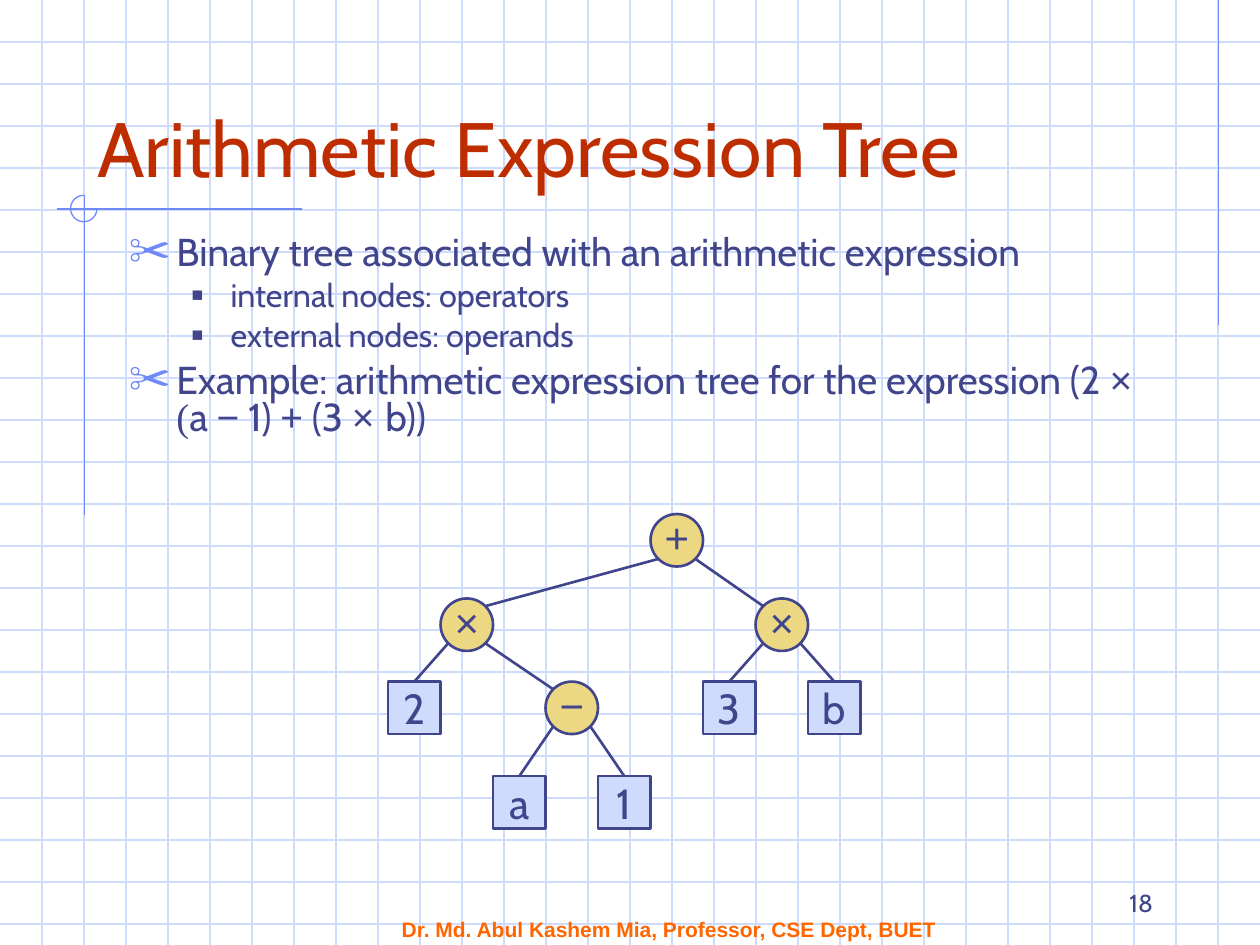
from lxml import etree
from pptx import Presentation
from pptx.dml.color import RGBColor
from pptx.enum import shapes as kinds, text as txt
from pptx.oxml.ns import qn
from pptx.util import Inches, Pt

INK = RGBColor(0x40, 0x45, 0x8C)
RED = RGBColor(0xBE, 0x2D, 0x00)
ORANGE = RGBColor(0xFF, 0x66, 0x00)
BLUE = RGBColor(0x6F, 0x89, 0xF7)
PALE = RGBColor(0xCF, 0xDB, 0xFD)
GOLD = RGBColor(0xEC, 0xD8, 0x82)
FONT = "Cabin"
MATH = "Arial"

# An operator is (sign, left, right); an operand is a plain string.
TREE = ("+", ("×", "2", ("−", "a", "1")), ("×", "3", "b"))
FORMULA = [
    ("Example: arithmetic expression tree for the expression (2 ", FONT),
    ("× ", MATH), ("(", "Times New Roman"), ("a ", FONT), ("−", MATH),
    (" 1) ", FONT), ("+", MATH), (" (3 ", FONT), ("× ", MATH), ("b))", FONT)]
# Each item: level, runs
ITEMS = [
    (0, [("Binary tree associated with an arithmetic expression", FONT)]),
    (1, [("internal nodes: operators", FONT)]),
    (1, [("external nodes: operands", FONT)]),
    (0, FORMULA)]
# Per level: size, space before, left margin, hang, bullet, colour, percent
LEVELS = [(22.2, 6, 0.38, 0.38, "✂", BLUE, 110),
          (18.5, 5, 0.81, 0.31, "■", INK, 60)]


def style(run, size, color, font=FONT, bold=False):
    run.font.size, run.font.name, run.font.bold = Pt(size), font, bold
    run.font.color.rgb = color


def place(shape, box):
    shape.left, shape.top, shape.width, shape.height = map(Inches, box)


def add_line(group, start, end, color, width=0.75):
    line = group.shapes.add_connector(
        kinds.MSO_CONNECTOR.STRAIGHT, *map(Inches, (*start, *end)))
    line.line.color.rgb, line.line.width = color, Pt(width)
    etree.SubElement(line._element.spPr, qn("a:effectLst"))


def add_grid(slide, wide, high, step=1 / 3):
    group = slide.shapes.add_group_shape()
    for i in range(1, int(high / step) + 1):
        add_line(group, (0, i * step), (wide, i * step), PALE)
    for i in range(1, round(wide / step)):
        add_line(group, (i * step, 0), (i * step, high), PALE)


def add_trim(slide):
    """Blue rules and the open ring around their crossing."""
    group = slide.shapes.add_group_shape()
    add_line(group, (9.67, 0), (9.67, 2.58), BLUE)
    add_line(group, (0.45, 1.66), (2.4, 1.66), BLUE)
    add_line(group, (0.67, 1.55), (0.67, 4.09), BLUE)
    ring = group.shapes.add_shape(
        kinds.MSO_SHAPE.ARC, *map(Inches, (0.56, 1.55, 0.21, 0.21)))
    ring.adjustments[0], ring.adjustments[1] = 0, 162  # right round to top
    ring.fill.background()
    ring.line.color.rgb, ring.line.width = BLUE, Pt(0.75)
    ring.shadow.inherit = False


def add_note(slide, box, words, anchor, align, **look):
    note = slide.shapes.add_textbox(*map(Inches, box))
    frame = note.text_frame
    frame.word_wrap, frame.vertical_anchor = True, anchor
    para = frame.paragraphs[0]
    para.text, para.alignment = words, align
    style(para.runs[0], **look)


def set_title(slide, box, words):
    title = slide.shapes.title
    place(title, box)
    frame = title.text_frame
    frame.text = words
    frame.vertical_anchor = txt.MSO_ANCHOR.BOTTOM
    frame.auto_size = txt.MSO_AUTO_SIZE.NONE
    frame.paragraphs[0].alignment = txt.PP_ALIGN.LEFT
    style(frame.paragraphs[0].runs[0], 44, RED)
    slide.shapes._spTree.append(title._element)  # in front of the grid


def set_bullet(para, left, hang, mark, color, size):
    props = para._p.get_or_add_pPr()
    props.set("marL", str(Inches(left)))
    props.set("indent", str(-Inches(hang)))
    tint = etree.SubElement(props, qn("a:buClr"))
    etree.SubElement(tint, qn("a:srgbClr"), val=str(color))
    etree.SubElement(props, qn("a:buSzPct"), val=str(size * 1000))
    etree.SubElement(props, qn("a:buFont"), typeface="Arial")
    etree.SubElement(props, qn("a:buChar"), char=mark)


def set_list(slide, box, items):
    body = slide.placeholders[1]
    place(body, box)
    frame = body.text_frame
    frame.auto_size = txt.MSO_AUTO_SIZE.NONE
    for i, (level, runs) in enumerate(items):
        para = frame.add_paragraph() if i else frame.paragraphs[0]
        size, gap, *bullet = LEVELS[level]
        para.level, para.line_spacing, para.space_before = level, 0.8, Pt(gap)
        set_bullet(para, *bullet)
        for words, font in runs:
            run = para.add_run()
            run.text = words
            style(run, size, INK, font)
    slide.shapes._spTree.append(body._element)


def add_node(group, center, side, sign, inner):
    x, y = center
    kind = kinds.MSO_SHAPE.OVAL if inner else kinds.MSO_SHAPE.RECTANGLE
    node = group.shapes.add_shape(
        kind, *map(Inches, (x - side / 2, y - side / 2, side, side)))
    node.shadow.inherit = False
    node.fill.solid()
    node.fill.fore_color.rgb = GOLD if inner else PALE
    node.line.color.rgb, node.line.width = INK, Pt(1.5)
    frame = node.text_frame
    frame.word_wrap, frame.vertical_anchor = False, txt.MSO_ANCHOR.MIDDLE
    if inner:
        frame.margin_left = frame.margin_right = frame.margin_top = 0
    frame.text = sign
    frame.paragraphs[0].alignment = txt.PP_ALIGN.CENTER
    style(frame.paragraphs[0].runs[0], 24, INK, MATH if inner else FONT)


def add_tree(slide, left, top, tree, side=5 / 12):
    """Columns follow the in-order walk, rows follow the depth."""
    group = slide.shapes.add_group_shape()
    rows = [0, 0.67, 1.33, 2.08]
    reach = side / 2 * 0.71  # where the diagonal meets a circle
    count = 0

    def walk(part, depth):
        nonlocal count
        inner = isinstance(part, tuple)
        sign, *kids = part if inner else (part,)
        ends = [walk(kids[0], depth + 1)] if inner else []
        x, y = left + (count + 0.5) * side, top + rows[depth] + side / 2
        count += 1
        if inner:
            ends.append(walk(kids[1], depth + 1))
        add_node(group, (x, y), side, sign, inner)
        for way, (kx, ky, round_kid) in zip((-1, 1), ends):
            end = ((kx - way * reach, ky - reach) if round_kid
                   else (kx, ky - side / 2))
            add_line(group, (x + way * reach, y + reach), end, INK, 1.5)
        return x, y, inner

    walk(tree, 0)


def main():
    deck = Presentation()
    deck.slide_width, deck.slide_height = Inches(10), Inches(7.5)
    slide = deck.slides.add_slide(deck.slide_layouts[1])
    add_grid(slide, 10, 7.5)
    add_trim(slide)
    add_note(slide, (3.09, 7.28, 4.67, 0.18),
             "Dr. Md. Abul Kashem Mia, Professor, CSE Dept, BUET",
             txt.MSO_ANCHOR.MIDDLE, txt.PP_ALIGN.LEFT,
             size=12, color=ORANGE, font="Arial", bold=True)
    add_note(slide, (7.17, 6.83, 2.08, 0.5), "18", txt.MSO_ANCHOR.BOTTOM,
             txt.PP_ALIGN.RIGHT, size=14, color=INK)
    set_title(slide, (0.67, 0.33, 8.5, 1.25), "Arithmetic Expression Tree")
    set_list(slide, (0.92, 1.83, 8.5, 2.08), ITEMS)
    add_tree(slide, 3.08, 4.08, TREE)
    deck.save("out.pptx")


if __name__ == "__main__":
    main()
